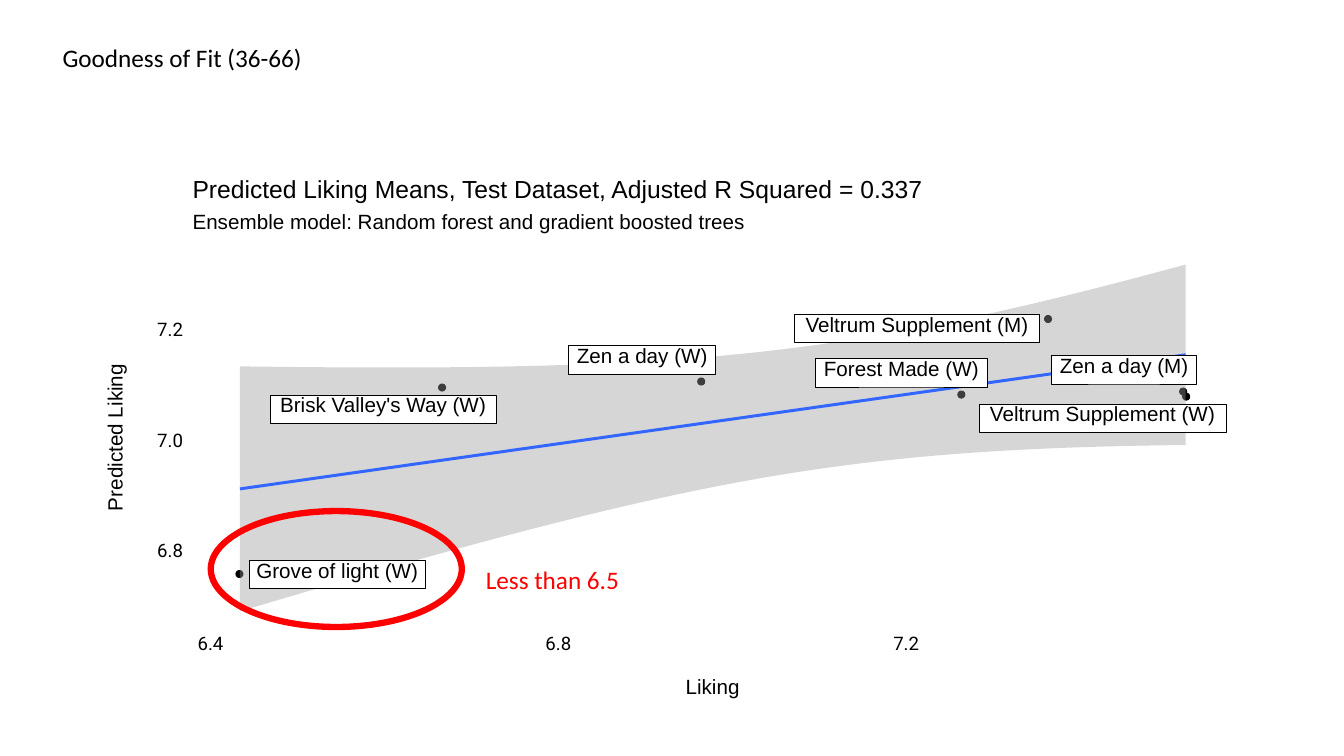
import math
from typing import Any, NamedTuple

import lxml.etree
import pptx
import pptx.dml.color
import pptx.enum.shapes
import pptx.enum.text
import pptx.oxml.ns
import pptx.util

Inches = pptx.util.Inches
Pt = pptx.util.Pt
RGBColor = pptx.dml.color.RGBColor
SHAPE = pptx.enum.shapes.MSO_SHAPE
ALIGN = pptx.enum.text.PP_ALIGN
qn = pptx.oxml.ns.qn

BLACK = RGBColor(0, 0, 0)
WHITE = RGBColor(255, 255, 255)
GREY = RGBColor(0x99, 0x99, 0x99)
BLUE = RGBColor(0x33, 0x66, 0xFF)
RED = RGBColor(255, 0, 0)


class Dot(NamedTuple):
    left: float
    top: float


class Label(NamedTuple):
    text: str
    left: float
    top: float
    width: float


class Note(NamedTuple):
    text: str
    left: float
    top: float
    width: float
    height: float = 0.19
    size: float = 14.7
    font: str = "Arial"
    turn: float = 0


DOTS = [Dot(4.35, 3.81), Dot(10.36, 3.13), Dot(11.73, 3.9), Dot(2.34, 5.66),
        Dot(9.5, 3.88), Dot(11.7, 3.85), Dot(6.92, 3.75)]

LABELS = [
    Label("Brisk Valley's Way (W)", 2.68, 3.92, 2.24),
    Label("Veltrum Supplement (M)", 7.88, 3.12, 2.43),
    Label("Veltrum Supplement (W)", 9.71, 4.01, 2.45),
    Label("Grove of light (W)", 2.47, 5.56, 1.75),
    Label("Forest Made (W)", 8.09, 3.56, 1.7),
    Label("Zen a day (M)", 10.43, 3.53, 1.44),
    Label("Zen a day (W)", 5.64, 3.43, 1.46),
]

# Axis ticks sit at equal steps
TICKS = [Note(text, 1.56, 5.41 - 1.1 * i, 0.26, 0.14, 13.3, "Roboto")
         for i, text in enumerate(["6.8", "7.0", "7.2"])]
TICKS += [Note(text, 1.96 + 3.45 * i, 6.33, 0.26, 0.14, 13.3, "Roboto")
          for i, text in enumerate(["6.4", "6.8", "7.2"])]

# Axis titles and headings, each box a little wider than its text
NOTES = TICKS + [
    Note("Liking", 6.8, 6.73, 0.65),
    Note("Predicted Liking", 0.33, 4.15, 1.65, turn=270),
    Note("Ensemble model: Random forest and gradient boosted trees",
         1.91, 2.12, 5.8),
    Note("Predicted Liking Means, Test Dataset, Adjusted R Squared = 0.337",
         1.91, 1.78, 7.6, 0.23, 17.6),
]

# Fitted line, and the band's half width: sqrt(BASE + CURVE * (x - MID)^2)
START, END = 2.38, 11.76
LOW, HIGH = 4.85, 3.52
MID, BASE, CURVE = 8.17, 0.38, 0.0327
STEPS = 79


def write(frame: Any, text: str, size: float, font: str,
          color: RGBColor = BLACK) -> Any:
    para = frame.paragraphs[0]
    run = para.add_run()
    run.text = text
    run.font.size = Pt(size)
    run.font.name = font
    run.font.color.rgb = color
    return para


def pack(frame: Any) -> None:
    """Tight frame: no margins, no wrapping, centred vertically."""
    frame.margin_left = frame.margin_right = 0
    frame.margin_top = frame.margin_bottom = 0
    frame.word_wrap = False
    frame.vertical_anchor = pptx.enum.text.MSO_ANCHOR.MIDDLE


def add_dot(shapes: Any, dot: Dot) -> None:
    shape = shapes.add_shape(SHAPE.OVAL, Inches(dot.left), Inches(dot.top),
                             Inches(0.07), Inches(0.07))
    shape.shadow.inherit = False
    shape.fill.solid()
    shape.fill.fore_color.rgb = BLACK
    shape.line.color.rgb = BLACK
    shape.line.width = Pt(0.71)


def add_label(shapes: Any, label: Label) -> None:
    box = shapes.add_shape(SHAPE.RECTANGLE, Inches(label.left),
                           Inches(label.top), Inches(label.width),
                           Inches(0.28))
    box.shadow.inherit = False
    box.fill.solid()
    box.fill.fore_color.rgb = WHITE
    box.line.color.rgb = BLACK
    box.line.width = Pt(0.53)
    frame = box.text_frame
    pack(frame)
    frame.margin_top, frame.margin_bottom = Inches(0.02), Inches(0.07)
    para = write(frame, label.text, 14.7, "Arial")
    para.alignment = ALIGN.CENTER
    para.line_spacing = Pt(14.7)


def add_note(shapes: Any, note: Note) -> None:
    box = shapes.add_textbox(Inches(note.left), Inches(note.top),
                             Inches(note.width), Inches(note.height))
    box.rotation = note.turn
    pack(box.text_frame)
    para = write(box.text_frame, note.text, note.size, note.font)
    para.alignment = ALIGN.LEFT
    para.line_spacing = Pt(note.size)


def edge(x: float, side: int) -> tuple[int, int]:
    fit = LOW + (HIGH - LOW) * (x - START) / (END - START)
    half = math.sqrt(BASE + CURVE * (x - MID) ** 2)
    return Inches(x), Inches(fit + side * half)


def add_band(shapes: Any) -> None:
    xs = [START + (END - START) * i / STEPS for i in range(STEPS + 1)]
    points = [edge(x, -1) for x in xs] + [edge(x, 1) for x in reversed(xs)]
    pen = shapes.build_freeform(*points[0])
    pen.add_line_segments(points[1:], close=True)
    band = pen.convert_to_shape()
    band.shadow.inherit = False
    band.fill.solid()
    band.fill.fore_color.rgb = GREY
    band.line.fill.background()
    tint = band._element.spPr.find(".//" + qn("a:srgbClr"))
    lxml.etree.SubElement(tint, qn("a:alpha")).set("val", "40000")


def add_trend(shapes: Any) -> None:
    line = shapes.add_connector(pptx.enum.shapes.MSO_CONNECTOR.STRAIGHT,
                                Inches(START), Inches(LOW),
                                Inches(END), Inches(HIGH))
    line.line.color.rgb = BLUE
    line.line.width = Pt(2.13)
    lxml.etree.SubElement(line._element.spPr, qn("a:effectLst"))


deck = pptx.Presentation()
deck.slide_width, deck.slide_height = Inches(13.33), Inches(7.5)
slide = deck.slides.add_slide(deck.slide_layouts[5])
shapes = slide.shapes

# Title
title = shapes.title
title.left, title.top = Inches(0.52), Inches(0.42)
title.width, title.height = Inches(11.05), Inches(0.34)
head = title.text_frame
head.auto_size = pptx.enum.text.MSO_AUTO_SIZE.NONE
head.vertical_anchor = pptx.enum.text.MSO_ANCHOR.MIDDLE
para = write(head, "Goodness of Fit (36-66)", 18, "Calibri")
para.alignment = ALIGN.LEFT
para.line_spacing = 0.9

# Plot
for dot in DOTS:
    add_dot(shapes, dot)
add_band(shapes)
add_trend(shapes)
for label in LABELS:
    add_label(shapes, label)
for note in NOTES:
    add_note(shapes, note)

# Ring and remark on the lowest product
ring = shapes.add_shape(SHAPE.OVAL, Inches(2.09), Inches(5.07),
                        Inches(2.49), Inches(1.15))
ring.shadow.inherit = False
ring.fill.background()
ring.line.color.rgb = RED
ring.line.width = Pt(4.5)
remark = shapes.add_textbox(Inches(4.72), Inches(5.55),
                            Inches(2.09), Inches(0.4))
remark.text_frame.word_wrap = True
write(remark.text_frame, "Less than 6.5", 18, "Calibri", RED)

deck.save("out.pptx")
